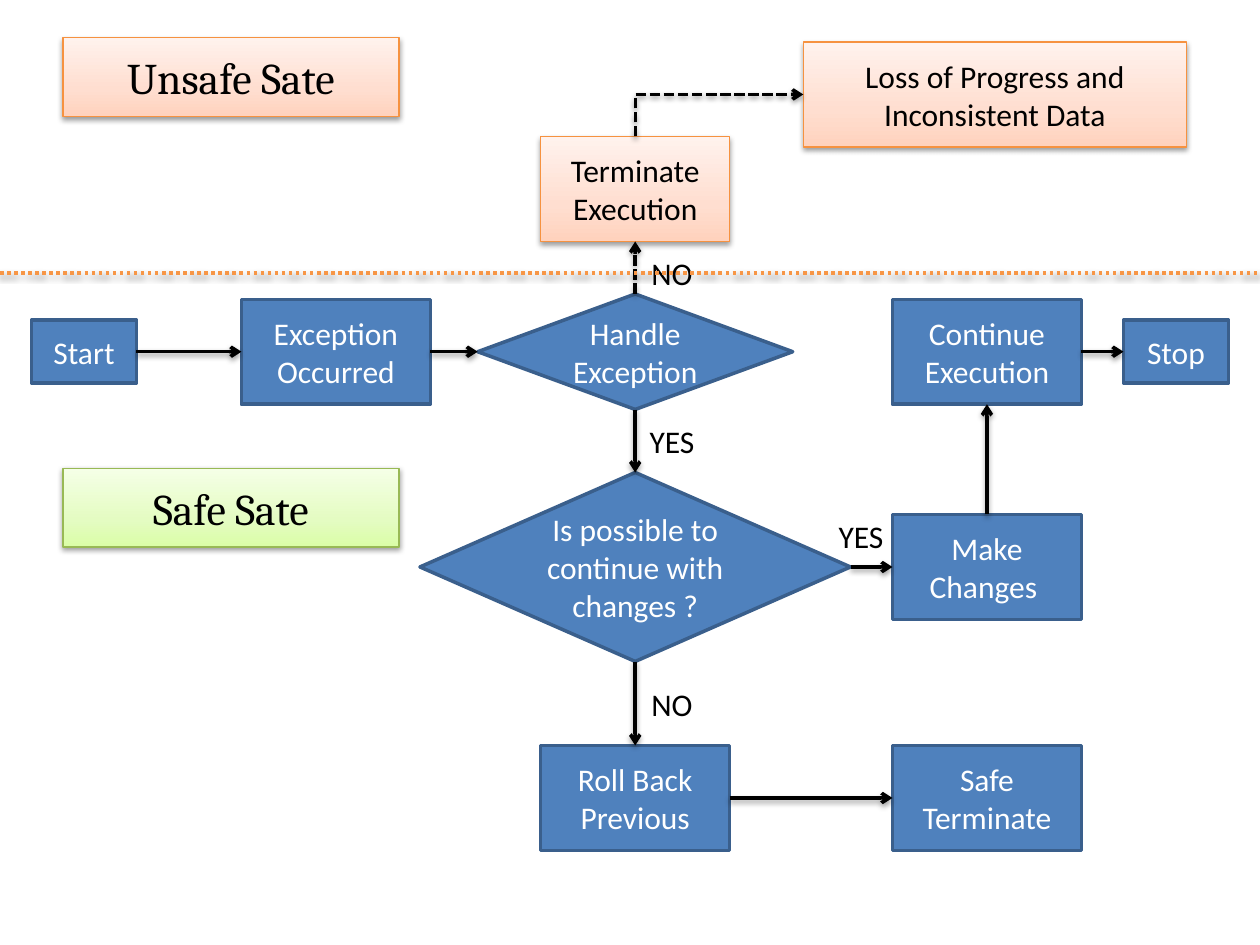
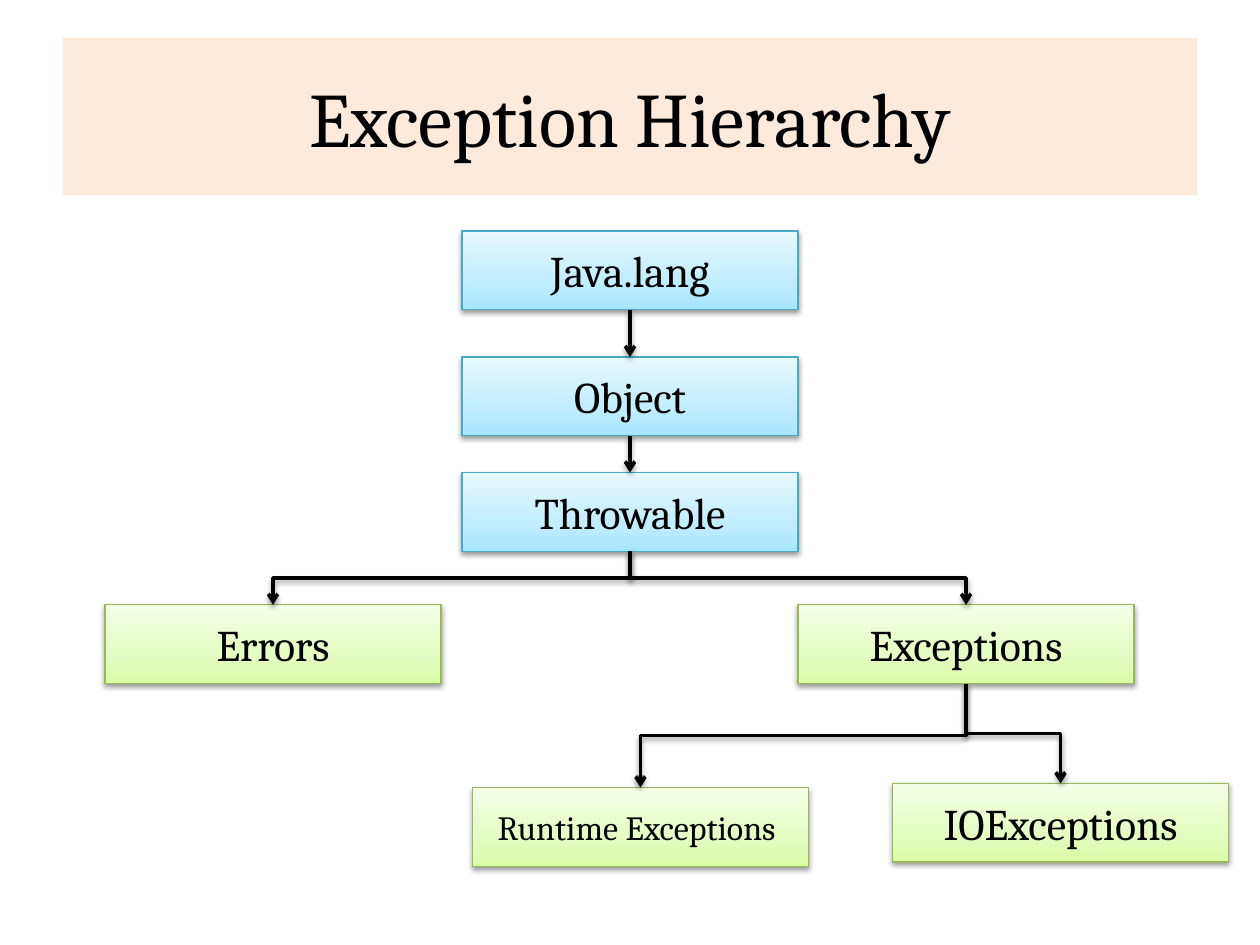
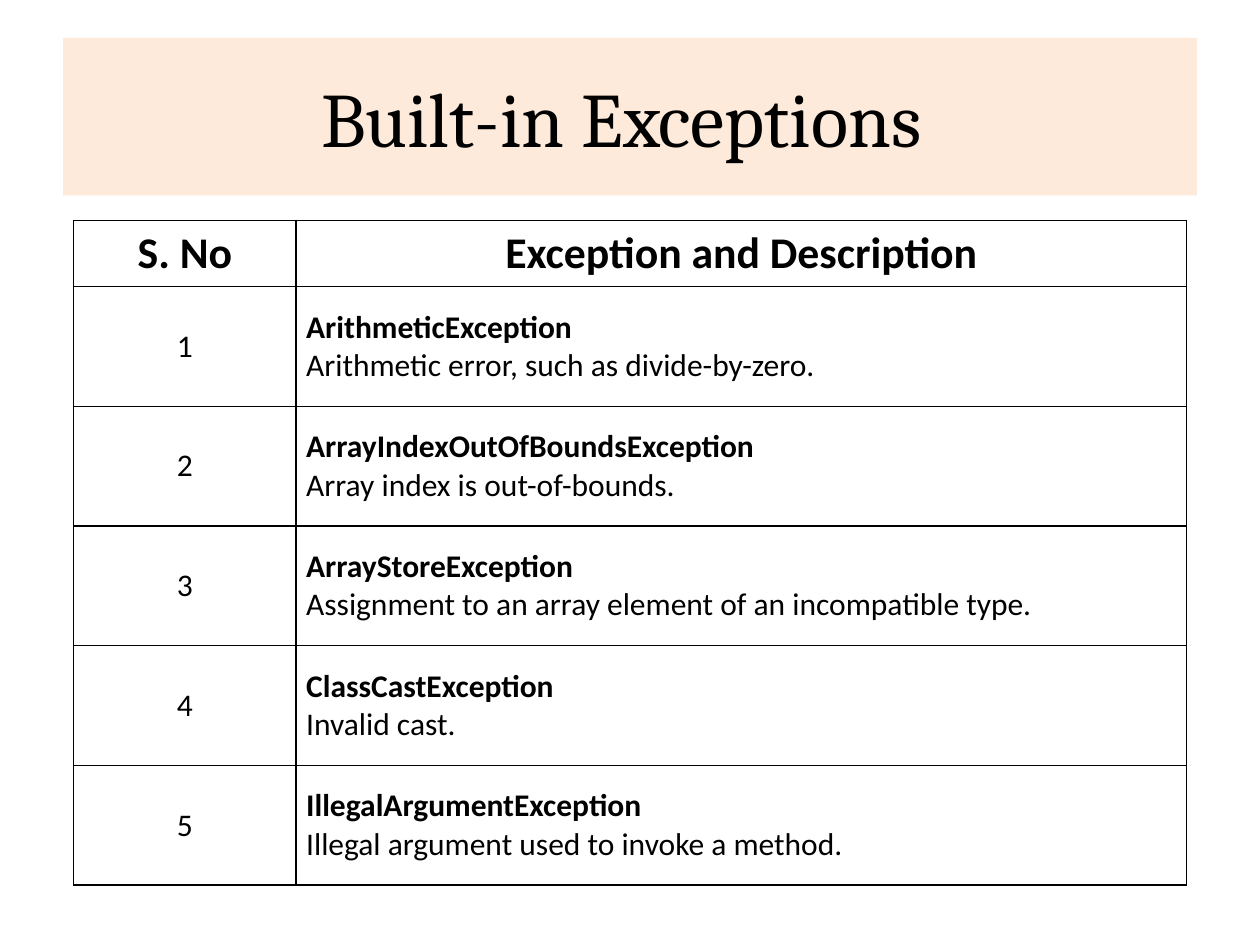
from copy import deepcopy
from dataclasses import dataclass

from lxml import etree
from pptx import Presentation
from pptx import util as u
from pptx.dml.color import RGBColor
from pptx.enum import dml, shapes, text
from pptx.oxml.ns import qn

# Shared look
BLACK = RGBColor(0x00, 0x00, 0x00)
WHITE = RGBColor(0xFF, 0xFF, 0xFF)
BLUE = RGBColor(0x4F, 0x81, 0xBD)
BLUE_EDGE = RGBColor(0x3A, 0x5F, 0x8C)
ORANGE = RGBColor(0xF7, 0x96, 0x46)
PEACH = RGBColor(0xFD, 0xEA, 0xDA)
ORANGE_EDGE = RGBColor(0xF6, 0x92, 0x40)
GREEN_EDGE = RGBColor(0x98, 0xB9, 0x55)
CYAN_EDGE = RGBColor(0x46, 0xAA, 0xC5)
# Each tint: edge colour, then gradient colours from bottom to top
ORANGE_TINT = (ORANGE_EDGE, RGBColor(0xFF, 0xD2, 0xBD),
               RGBColor(0xFF, 0xDE, 0xD0), RGBColor(0xFF, 0xF2, 0xED))
GREEN_TINT = (GREEN_EDGE, RGBColor(0xDA, 0xFD, 0xA7),
              RGBColor(0xE4, 0xFC, 0xC2), RGBColor(0xF5, 0xFF, 0xE7))
CYAN_TINT = (CYAN_EDGE, RGBColor(0xA7, 0xE6, 0xFF),
             RGBColor(0xC1, 0xED, 0xFF), RGBColor(0xE7, 0xF8, 0xFF))
BODY, SERIF = "Calibri", "Cambria"
CENTER, JUSTIFY = text.PP_ALIGN.CENTER, text.PP_ALIGN.JUSTIFY
RECT, DIAMOND = shapes.MSO_SHAPE.RECTANGLE, shapes.MSO_SHAPE.DIAMOND
DASH, DOT = dml.MSO_LINE.SQUARE_DOT, dml.MSO_LINE.ROUND_DOT

# The slide is a grid of 120 columns by 90 rows
COLUMNS, ROWS = 120, 90
prs = Presentation()
prs.slide_width, prs.slide_height = u.Inches(10), u.Inches(7.5)
CELL = prs.slide_width / COLUMNS


def emu(cells):
    return u.Emu(round(cells * CELL))


@dataclass
class Box:
    left: float
    top: float
    width: float
    height: float

    def inner(self, left, top, width, height):
        return Box(self.left + left, self.top + top, width, height)

    def at(self, across, down):
        return self.left + across * self.width, self.top + down * self.height

    def frame(self):
        return [emu(n) for n in (self.left, self.top, self.width, self.height)]


TOP, BOTTOM, LEFT, RIGHT = (0.5, 0), (0.5, 1), (0, 0.5), (1, 0.5)
SLIDE = Box(0, 0, COLUMNS, ROWS)
BAND = SLIDE.inner(6, 3.6, 108, 15)
LABEL_W, LABEL_H = 32, 7.5


def write(frame, words, size=18, font=BODY, color=BLACK, align=CENTER,
          bold_first=False, bold=False):
    """Fill a text frame; each line of words becomes a paragraph."""
    frame.word_wrap = True
    for i, line in enumerate(words.split("\n")):
        paragraph = frame.add_paragraph() if i else frame.paragraphs[0]
        paragraph.alignment = align
        run = paragraph.add_run()
        run.text = line
        run.font.size, run.font.name = u.Pt(size), font
        run.font.color.rgb = color
        run.font.bold = bold or (bold_first and i == 0)


def cast_shadow(properties):
    effects = properties.find(qn("a:effectLst"))
    if effects is None:
        effects = etree.SubElement(properties, qn("a:effectLst"))
    shadow = etree.SubElement(effects, qn("a:outerShdw"), blurRad="40000",
                              dist="20000", dir="5400000", rotWithShape="0")
    black = etree.SubElement(shadow, qn("a:srgbClr"), val=str(BLACK))
    etree.SubElement(black, qn("a:alpha"), val="38000")


def paint_tint(shape, tint):
    """Three-stop vertical gradient, thin edge and soft shadow."""
    edge, *colors = tint
    shape.fill.gradient()
    shape.fill.gradient_angle = 90
    stops = shape.element.spPr.find(".//" + qn("a:gsLst"))
    stops.insert(1, deepcopy(stops[0]))
    for stop, color, position in zip(shape.fill.gradient_stops, colors,
                                     (0, 0.35, 1)):
        stop.color.rgb, stop.position = color, position
    shape.line.color.rgb, shape.line.width = edge, u.Pt(0.75)
    cast_shadow(shape.element.spPr)


def add_title(slide, box, words, size=44, tint=None):
    title = slide.shapes.title
    title.left, title.top, title.width, title.height = box.frame()
    write(title.text_frame, words, size=size, font=SERIF)
    title.text_frame.auto_size = text.MSO_AUTO_SIZE.NONE
    title.text_frame.vertical_anchor = text.MSO_ANCHOR.MIDDLE
    if tint:
        title.shadow.inherit = False
        paint_tint(title, tint)
    else:
        title.fill.solid()
        title.fill.fore_color.rgb = PEACH


def add_node(slide, box, words, kind=RECT, tint=None, **style):
    node = slide.shapes.add_shape(kind, *box.frame())
    node.shadow.inherit = False
    if tint:
        paint_tint(node, tint)
    else:
        node.fill.solid()
        node.fill.fore_color.rgb = BLUE
        node.line.color.rgb, node.line.width = BLUE_EDGE, u.Pt(2)
        style.setdefault("color", WHITE)
    write(node.text_frame, words, **style)
    node.text_frame.vertical_anchor = text.MSO_ANCHOR.MIDDLE
    return box


def add_label(slide, box, words):
    label = slide.shapes.add_textbox(*box.frame())
    write(label.text_frame, words)
    label.text_frame.vertical_anchor = text.MSO_ANCHOR.MIDDLE


def style_line(line, color=BLACK, dash=None, arrow=True):
    line.line.color.rgb, line.line.width = color, u.Pt(2)
    if dash:
        line.line.dash_style = dash
    properties = line.element.spPr
    if arrow:
        etree.SubElement(properties.find(qn("a:ln")), qn("a:tailEnd"),
                         type="arrow")
    cast_shadow(properties)


def add_line(slide, start, end, **style):
    ends = [emu(n) for n in (*start, *end)]
    line = slide.shapes.add_connector(shapes.MSO_CONNECTOR.STRAIGHT, *ends)
    style_line(line, **style)


def add_elbow(slide, start, end, one_bend=False, **style):
    """Bent arrow that leaves vertically, as a quarter-turned connector."""
    (x1, y1), (x2, y2) = start, end
    mid_x, mid_y = (x1 + x2) / 2, (y1 + y2) / 2
    turn = -1 if x2 > x1 and y2 > y1 else 1
    half_x, half_y = turn * (y2 - y1) / 2, turn * (x1 - x2) / 2
    elbow = slide.shapes.add_connector(
        shapes.MSO_CONNECTOR.ELBOW, emu(mid_x - half_x), emu(mid_y - half_y),
        emu(mid_x + half_x), emu(mid_y + half_y))
    properties = elbow.element.spPr
    properties.find(qn("a:xfrm")).set("rot", str(turn * 90 % 360 * 60000))
    if one_bend:
        properties.find(qn("a:prstGeom")).set("prst", "bentConnector2")
    style_line(elbow, **style)


def unsafe_region(slide, area):
    """Upper part of the flow; returns the node that the lower part enters."""
    add_title(slide, area.inner(6, 3.6, LABEL_W, LABEL_H), "Unsafe Sate",
              size=25, tint=ORANGE_TINT)
    terminate = add_node(slide, area.inner(51.5, 13, 18, 10),
                         "Terminate Execution", tint=ORANGE_TINT)
    loss = add_node(slide, area.inner(76.5, 4, 36.5, 10),
                    "Loss of Progress and Inconsistent Data",
                    tint=ORANGE_TINT)
    add_elbow(slide, terminate.at(*TOP), loss.at(*LEFT), one_bend=True,
              dash=DASH)
    return terminate


def safe_region(slide, area, terminate):
    def step(left, top, words, width=18, height=10, **style):
        return add_node(slide, area.inner(left, top, width, height), words,
                        **style)

    # Steps and decisions
    start = step(3, 4.5, "Start", 10, 6)
    occurred = step(23, 2.5, "Exception Occurred")
    roll_back = step(51.5, 45, "Roll Back Previous")
    proceed = step(85, 2.5, "Continue Execution")
    safe_end = step(85, 45, "Safe Terminate")
    stop = step(107, 4.5, "Stop", 10, 6)
    handle = step(45.5, 2, "Handle Exception", 30, 11, kind=DIAMOND)
    changes = step(85, 23, "Make Changes ")
    possible = step(40, 19, "Is possible to continue with changes ?", 41, 18,
                    kind=DIAMOND)

    # Arrows
    for origin, side, target, entry in (
            (start, RIGHT, occurred, LEFT), (occurred, RIGHT, handle, LEFT),
            (handle, BOTTOM, possible, TOP),
            (possible, BOTTOM, roll_back, TOP),
            (possible, RIGHT, changes, LEFT), (changes, TOP, proceed, BOTTOM),
            (proceed, RIGHT, stop, LEFT), (roll_back, RIGHT, safe_end, LEFT)):
        add_line(slide, origin.at(*side), target.at(*entry))
    add_line(slide, handle.at(*TOP), terminate.at(*BOTTOM), dash=DASH)

    # Answers, border with the unsafe state, and the region's name
    for left, top, answer in ((59, 13, "YES"), (77, 22, "YES"),
                              (59, -3, "NO"), (59, 38, "NO")):
        add_label(slide, area.inner(left, top, 10, 6), answer)
    add_line(slide, area.at(0, 0), area.at(1, 0), color=ORANGE, dash=DOT,
             arrow=False)
    step(6, 18.6, "Safe Sate", LABEL_W, LABEL_H, tint=GREEN_TINT, size=25,
         font=SERIF)


def hierarchy(slide, area):
    def level(left, top, words, tint=GREEN_TINT, size=25):
        return add_node(slide, area.inner(left, top, LABEL_W, LABEL_H), words,
                        tint=tint, size=size, font=SERIF)

    package = level(44, 0, "Java.lang", CYAN_TINT)
    base = level(44, 12, "Object", CYAN_TINT)
    throwable = level(44, 23, "Throwable", CYAN_TINT)
    errors = level(10, 35.6, "Errors")
    exceptions = level(76, 35.6, "Exceptions")
    runtime = level(45, 53, "Runtime Exceptions ", size=19.4)
    io_branch = level(85, 52.6, "IOExceptions")
    for parent, child, connect in (
            (package, base, add_line), (base, throwable, add_line),
            (throwable, errors, add_elbow), (throwable, exceptions, add_elbow),
            (exceptions, runtime, add_elbow),
            (exceptions, io_branch, add_elbow)):
        connect(slide, parent.at(*BOTTOM), child.at(*TOP))


def border_cell(cell):
    properties = cell._tc.get_or_add_tcPr()
    for i, side in enumerate(("a:lnL", "a:lnR", "a:lnT", "a:lnB")):
        line = etree.Element(qn(side), w=str(u.Pt(1)))
        fill = etree.SubElement(line, qn("a:solidFill"))
        etree.SubElement(fill, qn("a:srgbClr"), val=str(BLACK))
        properties.insert(i, line)


def exception_table(slide, area, header, entries):
    table = slide.shapes.add_table(len(entries) + 1, len(header),
                                   *area.frame()).table
    table.first_row = table.horz_banding = False
    for column, share in zip(table.columns, (0.2, 0.8)):
        column.width = emu(area.width * share)
    header_height = 6.3
    entry_height = (area.height - header_height) / len(entries)
    numbered = [(str(n), "\n".join(entry))
                for n, entry in enumerate(entries, 1)]
    for r, row in enumerate([header, *numbered]):
        table.rows[r].height = emu(entry_height if r else header_height)
        for c, words in enumerate(row):
            cell = table.cell(r, c)
            cell.fill.background()
            cell.vertical_anchor = text.MSO_ANCHOR.MIDDLE
            border_cell(cell)
            if r:
                cell.margin_left = cell.margin_right = u.Inches(0.08)
                cell.margin_top = cell.margin_bottom = u.Inches(0.08)
                write(cell.text_frame, words, align=JUSTIFY if c else CENTER,
                      bold_first=c == 1)
            else:
                write(cell.text_frame, words, size=25, bold=True)


EXCEPTIONS = (
    ("ArithmeticException", "Arithmetic error, such as divide-by-zero."),
    ("ArrayIndexOutOfBoundsException", "Array index is out-of-bounds."),
    ("ArrayStoreException",
     "Assignment to an array element of an incompatible type."),
    ("ClassCastException", "Invalid cast."),
    ("IllegalArgumentException", "Illegal argument used to invoke a method."),
)

flow, tree, built_in = [prs.slides.add_slide(prs.slide_layouts[5])
                        for _ in range(3)]

# Flow of handling an exception
BORDER_ROW = 26
terminate_node = unsafe_region(flow, SLIDE.inner(0, 0, COLUMNS, BORDER_ROW))
safe_region(flow, SLIDE.inner(0, BORDER_ROW, COLUMNS, ROWS - BORDER_ROW),
            terminate_node)

# Class hierarchy
add_title(tree, BAND, "Exception Hierarchy")
hierarchy(tree, SLIDE.inner(0, 22, COLUMNS, ROWS - 22))

# Table of exceptions
add_title(built_in, BAND, "Built-in Exceptions ")
exception_table(built_in, SLIDE.inner(7, 21, 106, 63.3),
                ("S. No", "Exception and Description"), EXCEPTIONS)

prs.save("out.pptx")
